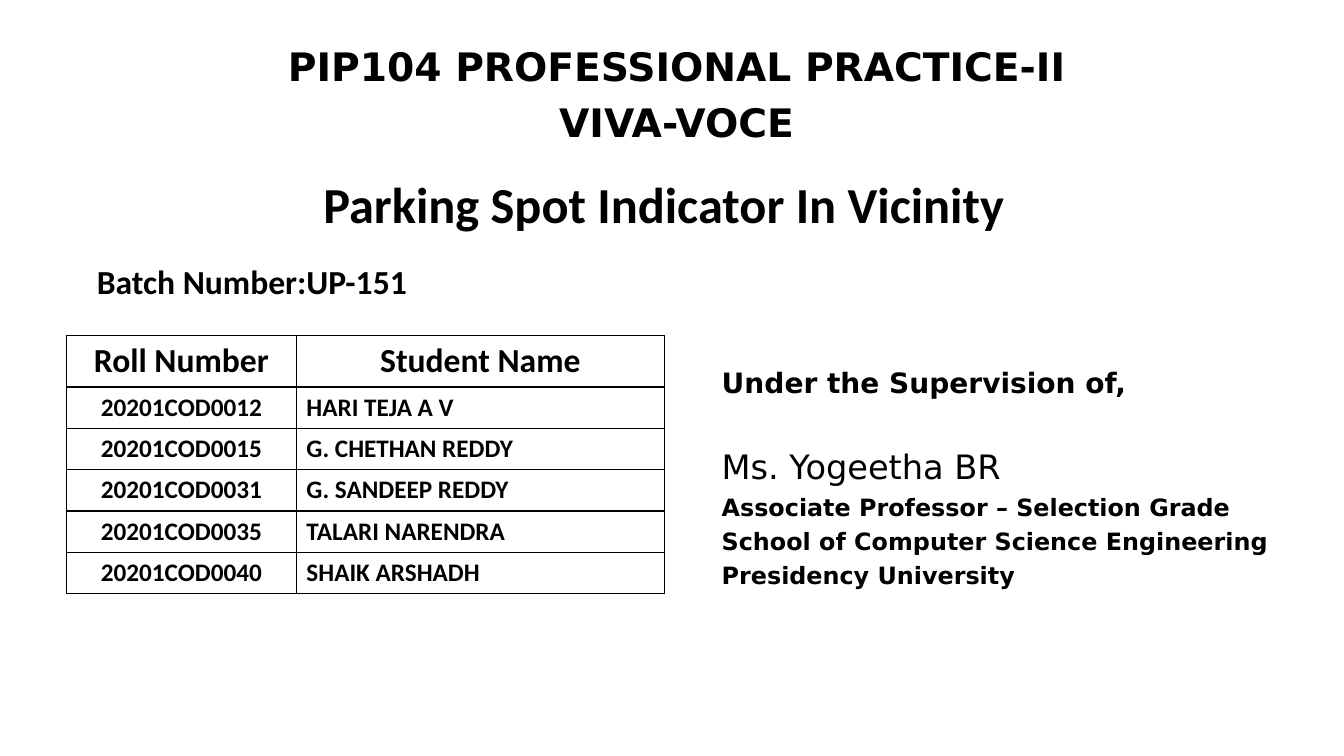
from lxml import etree
from pptx import Presentation
from pptx import util as u
from pptx.dml.color import RGBColor
from pptx.enum import text
from pptx.oxml.ns import qn

COLORS = {"ink": "000000", "paper": "FFFFFF"}
SANS, BODY = "DejaVu Sans", "Calibri"
WIDTH, HEIGHT = 13.33, 7.5
LEFT, CENTER, JUSTIFY = text.PP_ALIGN.LEFT, text.PP_ALIGN.CENTER, text.PP_ALIGN.JUSTIFY
MIDDLE = text.MSO_ANCHOR.MIDDLE

PROJECT = "Parking Spot Indicator In Vicinity"
BATCH = "Batch Number:UP-151"
STUDENTS = [
    ("Roll Number", "Student Name"),
    ("20201COD0012", "HARI TEJA A V"),
    ("20201COD0015", "G. CHETHAN REDDY"),
    ("20201COD0031", "G. SANDEEP REDDY"),
    ("20201COD0035", "TALARI NARENDRA"),
    ("20201COD0040", "SHAIK ARSHADH"),
]
COURSE = [
    ("PIP104 PROFESSIONAL PRACTICE-II", 28, True, 0),
    ("VIVA-VOCE", 28, True, 6.5),
]
SUPERVISION = [
    ("Under the Supervision of,", 20, True, 0),
    ("Ms. Yogeetha BR", 24, False, 33.5),
    ("Associate Professor – Selection Grade", 17, True, 4),
    ("School of Computer Science Engineering", 17, True, 4),
    ("Presidency University", 17, True, 4),
]
COLUMNS = (2.28, 3.65)
HEADER_ROW, STUDENT_ROW = 0.51, 0.41


def inches(*lengths):
    return [u.Inches(length) for length in lengths]


def write(paragraph, words, size, font, align, bold=True, before=0, spacing=1.0):
    paragraph.alignment = align
    paragraph.space_before = u.Pt(before)
    paragraph.line_spacing = spacing
    run = paragraph.add_run()
    run.text = words
    run.font.size = u.Pt(size)
    run.font.name = font
    run.font.bold = bold
    run.font.color.rgb = RGBColor.from_string(COLORS["ink"])


def fill_placeholder(holder, place, words, size, align, anchor):
    holder.left, holder.top, holder.width, holder.height = inches(*place)
    frame = holder.text_frame
    frame.auto_size = text.MSO_AUTO_SIZE.NONE
    frame.vertical_anchor = anchor
    write(frame.paragraphs[0], words, size, BODY, align, spacing=0.9)


def add_lines(slide, place, lines, align):
    frame = slide.shapes.add_textbox(*inches(*place)).text_frame
    frame.word_wrap = True
    for i, (words, size, bold, before) in enumerate(lines):
        paragraph = frame.add_paragraph() if i else frame.paragraphs[0]
        write(paragraph, words, size, SANS, align, bold, before)


def outline(cell):
    properties = cell._tc.get_or_add_tcPr()
    for position, side in enumerate(("a:lnL", "a:lnR", "a:lnT", "a:lnB")):
        line = etree.Element(qn(side), w=str(u.Pt(1)))
        solid = etree.SubElement(line, qn("a:solidFill"))
        etree.SubElement(solid, qn("a:srgbClr"), val=COLORS["ink"])
        properties.insert(position, line)


def add_students(slide, left, top):
    heights = [HEADER_ROW] + [STUDENT_ROW] * (len(STUDENTS) - 1)
    students = slide.shapes.add_table(
        len(STUDENTS), len(COLUMNS), *inches(left, top, sum(COLUMNS), sum(heights))
    ).table
    for column, width in zip(students.columns, COLUMNS):
        column.width = u.Inches(width)
    for r, (student, height) in enumerate(zip(STUDENTS, heights)):
        students.rows[r].height = u.Inches(height)
        for c, words in enumerate(student):
            cell = students.cell(r, c)
            cell.vertical_anchor = MIDDLE
            cell.fill.solid()
            cell.fill.fore_color.rgb = RGBColor.from_string(COLORS["paper"])
            outline(cell)
            align = JUSTIFY if r and c else CENTER
            write(cell.text_frame.paragraphs[0], words, 18 if r else 24, BODY, align)


def main():
    deck = Presentation()
    deck.slide_width, deck.slide_height = inches(WIDTH, HEIGHT)
    slide = deck.slides.add_slide(deck.slide_layouts[0])
    fill_placeholder(slide.shapes.title, (0.92, 1.75, 0.85 * WIDTH, 0.63),
                     PROJECT, 36, CENTER, text.MSO_ANCHOR.BOTTOM)
    fill_placeholder(slide.placeholders[1], (0.86, 2.58, 4.34, 0.6),
                     BATCH, 24, LEFT, text.MSO_ANCHOR.TOP)
    add_students(slide, 0.66, 3.33)
    add_lines(slide, (7.06, 3.58, 6.03, 2.66), SUPERVISION, LEFT)
    add_lines(slide, (0.86, 0.37, 11.7, 1.13), COURSE, CENTER)
    deck.save("out.pptx")


if __name__ == "__main__":
    main()
